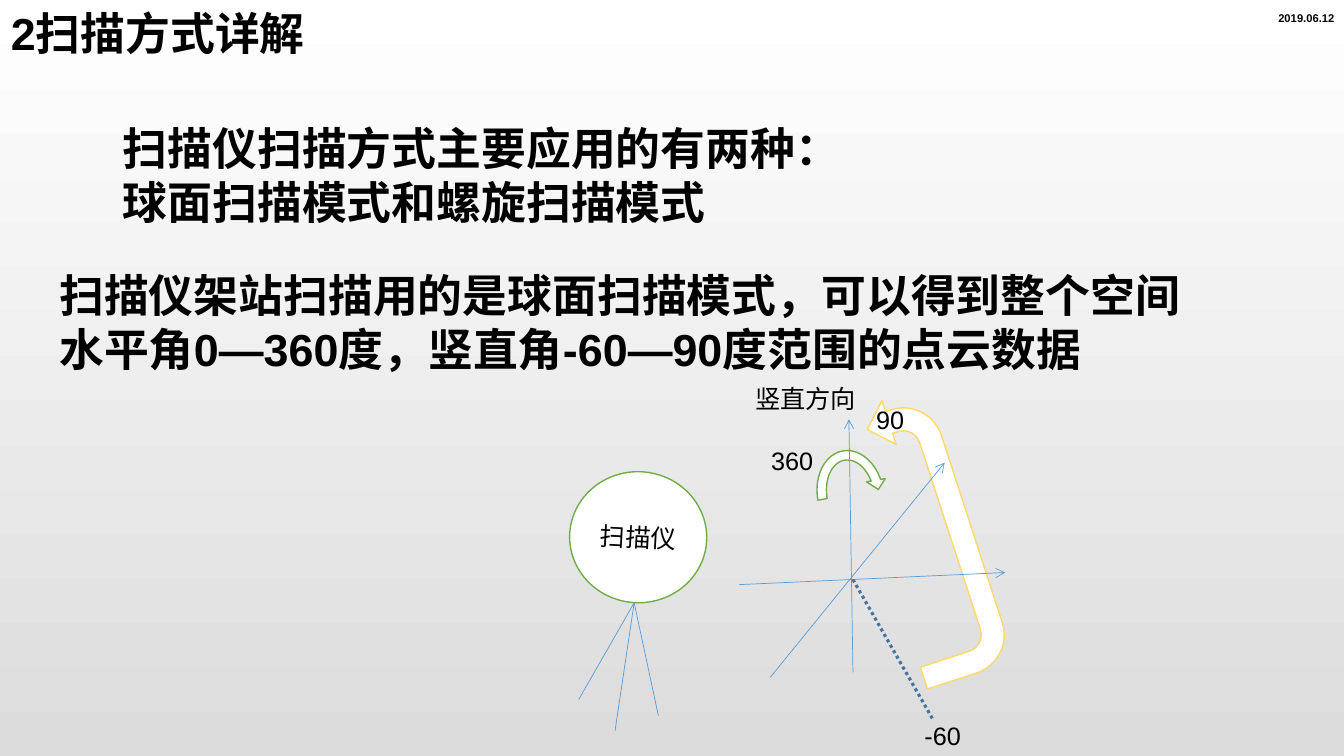
from lxml import etree
from pptx import Presentation
from pptx import util as u
from pptx.dml.color import RGBColor
from pptx.enum import dml, shapes, text
from pptx.oxml.ns import qn

PX = 9144  # EMU in one px, 100 px to the inch
FONT = "Arial"
COLOURS = {
    "top": "FFFFFF",
    "bottom": "DCDCDC",
    "text": "000000",
    "white": "FFFFFF",
    "yellow": "FFD966",
    "green": "70AD47",
    "axis": "5B9BD5",
    "dots": "43739E",
}


def colour(name):
    return RGBColor.from_string(COLOURS[name])


def emu(*lengths):
    return [u.Emu(length * PX) for length in lengths]


def paint_background(page):
    fill = page.background.fill
    fill.gradient()
    fill.gradient_angle = 270
    for stop, name, position in zip(fill.gradient_stops, ("top", "bottom"), (0, 1)):
        stop.color.rgb = colour(name)
        stop.position = position


def add_span(para, words, size, bold=False):
    span = para.add_run()
    span.text = words
    span.font.name = FONT
    span.font.size = u.Pt(size)
    span.font.bold = bold
    span.font.color.rgb = colour("text")


def add_text(page, place, lines, size=18, bold=False, wrap=False):
    frame = page.shapes.add_textbox(*emu(*place)).text_frame
    frame.word_wrap = wrap
    frame.auto_size = text.MSO_AUTO_SIZE.SHAPE_TO_FIT_TEXT
    for number, words in enumerate(lines):
        para = frame.add_paragraph() if number else frame.paragraphs[0]
        add_span(para, words, size, bold)


def add_outlined(page, kind, place, line, turn):
    shape = page.shapes.add_shape(kind, *emu(*place))
    shape.shadow.inherit = False
    shape.rotation = turn
    shape.fill.solid()
    shape.fill.fore_color.rgb = colour("white")
    shape.line.color.rgb = colour(line)
    shape.line.width = u.Pt(1)
    return shape


def add_line(page, start, end, line="axis", width=0.5, arrow=False, dash=None):
    connector = page.shapes.add_connector(
        shapes.MSO_CONNECTOR.STRAIGHT, *emu(*start, *end))
    connector.line.color.rgb = colour(line)
    connector.line.width = u.Pt(width)
    if dash:
        connector.line.dash_style = dash
    if arrow:
        etree.SubElement(connector.line._get_or_add_ln(), qn("a:tailEnd"), type="arrow")
    etree.SubElement(connector._element.spPr, qn("a:effectLst"))


def draw_sweeps(page):
    vertical = add_outlined(
        page, shapes.MSO_SHAPE.U_TURN_ARROW, (776, 488, 286, 91), "yellow", 72)
    vertical._element.spPr.xfrm.set("flipH", "1")
    add_outlined(
        page, shapes.MSO_SHAPE.CIRCULAR_ARROW, (806, 442, 75, 97), "green", 350)


def draw_scanner(page):
    head = add_outlined(page, shapes.MSO_SHAPE.OVAL, (565, 468, 136, 130), "green", 3)
    frame = head.text_frame
    frame.word_wrap = False
    frame.vertical_anchor = text.MSO_ANCHOR.MIDDLE
    para = frame.paragraphs[0]
    para.alignment = text.PP_ALIGN.CENTER
    add_span(para, "扫描仪", 18)
    for foot in ((574, 694), (610, 725), (653, 710)):
        add_line(page, (629, 598), foot)


def draw_axes(page):
    for start, end in (
        ((846, 667), (842, 416)),
        ((733, 580), (997, 568)),
        ((764, 672), (937, 459)),
    ):
        add_line(page, start, end, arrow=True)
    add_line(page, (846, 575), (926, 715), "dots", 2.25,
             dash=dml.MSO_LINE.ROUND_DOT)
    for place, words in (
        ((755, 437, 62, 40), "360"),
        ((907, 710, 56, 40), "-60"),
        ((859, 396, 48, 40), "90"),
        ((739, 375, 120, 40), "竖直方向"),
    ):
        add_text(page, place, [words])


def main():
    deck = Presentation()
    deck.slide_width, deck.slide_height = emu(1333, 750)
    page = deck.slides.add_slide(deck.slide_layouts[6])
    paint_background(page)
    draw_sweeps(page)
    add_text(page, (1, 1, 313, 64), ["2扫描方式详解"], 32, True, wrap=True)
    add_text(page, (112, 115, 734, 118),
             ["扫描仪扫描方式主要应用的有两种：", "球面扫描模式和螺旋扫描模式"], 32, True)
    add_text(page, (49, 261, 1141, 118),
             ["扫描仪架站扫描用的是球面扫描模式，可以得到整个空间"
              "水平角0—360度，竖直角-60—90度范围的点云数据"], 32, True, wrap=True)
    draw_scanner(page)
    draw_axes(page)
    add_text(page, (1258, 6, 76, 23), ["2019.06.12"], 8, True)
    deck.save("out.pptx")


if __name__ == "__main__":
    main()
